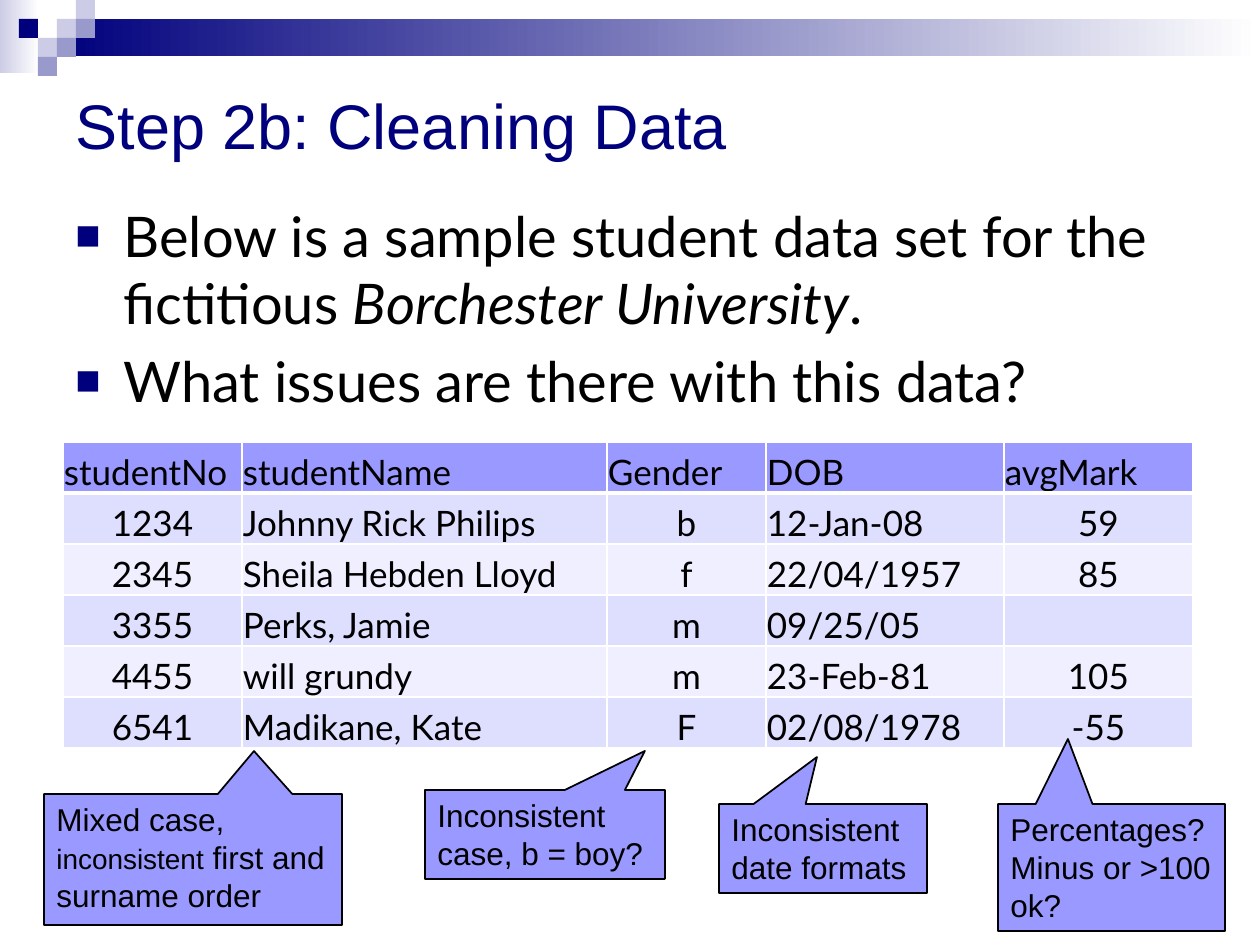
from lxml import etree
from pptx import Presentation
from pptx.dml.color import RGBColor
from pptx.enum.shapes import MSO_SHAPE
from pptx.enum.text import MSO_ANCHOR, MSO_AUTO_SIZE, PP_ALIGN
from pptx.oxml.ns import qn
from pptx.util import Emu, Pt

NAVY = RGBColor(0x00, 0x00, 0x7D)
LILAC = RGBColor(0xCC, 0xCC, 0xE6)
MAUVE = RGBColor(0x99, 0x99, 0xCC)
PERIWINKLE = RGBColor(0x99, 0x99, 0xFF)
BAND_DARK = RGBColor(0xDE, 0xDE, 0xFF)
BAND_LIGHT = RGBColor(0xEF, 0xEF, 0xFF)
BLACK = RGBColor(0, 0, 0)
WHITE = RGBColor(255, 255, 255)

COLUMNS = [179, 365, 159, 238, 189]
CENTRED = {0, 2, 4}
STUDENTS = [
    ["studentNo", "studentName", "Gender", "DOB", "avgMark"],
    ["1234", "Johnny Rick Philips", "b", "12-Jan-08", "59"],
    ["2345", "Sheila Hebden Lloyd", "f", "22/04/1957", "85"],
    ["3355", "Perks, Jamie", "m", "09/25/05", ""],
    ["4455", "will grundy", "m", "23-Feb-81", "105"],
    ["6541", "Madikane, Kate", "F", "02/08/1978", "-55"],
]
# box, tip of the pointer, runs of (text, size)
CALLOUTS = [
    ((44, 794, 298, 131), (254, 751),
     [("Mixed case, ", 18), ("inconsistent", 16), (" first and surname order", 18)]),
    ((425, 790, 240, 89), (645, 751), [("Inconsistent case, b = boy?", 18)]),
    ((719, 804, 208, 89), (817, 757), [("Inconsistent date formats", 18)]),
    ((998, 804, 227, 127), (1068, 739), [("Percentages? Minus or >100 ok?", 18)]),
]


def px(n):
    return Emu(round(n * 914400 / 126))


def place(box):
    return [px(n) for n in box]


def add_run(p, text, size, font, color=BLACK, italic=False):
    r = p.add_run()
    r.text = text
    r.font.size, r.font.name = Pt(size), font
    r.font.color.rgb = color
    r.font.italic = italic


def add_rect(slide, box, color, fade_to=None):
    sp = slide.shapes.add_shape(MSO_SHAPE.RECTANGLE, *place(box))
    sp.shadow.inherit = False
    sp.line.fill.background()
    if fade_to is None:
        sp.fill.solid()
        sp.fill.fore_color.rgb = color
        return
    sp.fill.gradient()
    sp.fill.gradient_angle = 0
    for stop, position, rgb in zip(sp.fill.gradient_stops, (0, 1), (color, fade_to)):
        stop.position = position
        stop.color.rgb = rgb


def add_banner(slide, x, y, w):
    side = 19
    add_rect(slide, (x, y, 39, 73), LILAC, WHITE)
    add_rect(slide, (x + 3 * side, y + side, w - 3 * side, 2 * side - 1), NAVY, WHITE)
    squares = [(3, 1, LILAC), (4, 0, LILAC), (4, 1, MAUVE), (2, 2, LILAC),
               (1, 1, NAVY), (3, 2, MAUVE), (2, 3, MAUVE)]
    for col, row, color in squares:
        add_rect(slide, (x + col * side, y + row * side, side, side), color)


def format_title(slide, box, text):
    title = slide.shapes.title
    title.left, title.top, title.width, title.height = place(box)
    tf = title.text_frame
    tf.auto_size = MSO_AUTO_SIZE.NONE
    tf.vertical_anchor = MSO_ANCHOR.MIDDLE
    p = tf.paragraphs[0]
    p.alignment = PP_ALIGN.LEFT
    add_run(p, text, 36, "Arial", NAVY)


def set_bullet(p):
    pPr = p._p.get_or_add_pPr()
    pPr.set("marL", str(px(48)))
    pPr.set("indent", str(-px(48)))
    color = etree.SubElement(pPr, qn("a:buClr"))
    etree.SubElement(color, qn("a:srgbClr"), val=str(NAVY))
    etree.SubElement(pPr, qn("a:buSzPct"), val="75000")
    etree.SubElement(pPr, qn("a:buFont"), typeface="Arial")
    etree.SubElement(pPr, qn("a:buChar"), char="■")


def add_bullets(slide, box, items):
    tf = slide.shapes.add_textbox(*place(box)).text_frame
    tf.word_wrap = True
    for i, runs in enumerate(items):
        p = tf.add_paragraph() if i else tf.paragraphs[0]
        set_bullet(p)
        if i:
            p.space_before = Pt(6.4)
        for text, italic in runs:
            add_run(p, text, 32, "Lato", italic=italic)


def set_borders(cell, **widths):
    """Draw white borders, given in points by side: L, R, T, B."""
    tcPr = cell._tc.get_or_add_tcPr()
    for side in "LRTB":
        ln = etree.SubElement(tcPr, qn(f"a:ln{side}"), w=str(Pt(widths.get(side, 1))))
        fill = etree.SubElement(ln, qn("a:solidFill"))
        etree.SubElement(fill, qn("a:srgbClr"), val=str(WHITE))


def add_student_table(slide, x, y, row_height):
    box = (x, y, sum(COLUMNS), row_height * len(STUDENTS))
    table = slide.shapes.add_table(len(STUDENTS), len(COLUMNS), *place(box)).table
    for column, width in zip(table.columns, COLUMNS):
        column.width = px(width)
    for i, values in enumerate(STUDENTS):
        table.rows[i].height = px(row_height)
        for j, text in enumerate(values):
            cell = table.cell(i, j)
            set_borders(cell, T=3 if i == 1 else 1, B=3 if i == 0 else 1)
            cell.fill.solid()
            cell.fill.fore_color.rgb = (
                PERIWINKLE if i == 0 else BAND_DARK if i % 2 else BAND_LIGHT)
            cell.margin_left = cell.margin_right = cell.margin_top = px(1)
            cell.margin_bottom = 0
            cell.vertical_anchor = MSO_ANCHOR.BOTTOM
            p = cell.text_frame.paragraphs[0]
            p.alignment = PP_ALIGN.CENTER if i and j in CENTRED else PP_ALIGN.LEFT
            if text:
                add_run(p, text, 20, "Lato")
                p.runs[0].font.bold = False


def add_callout(slide, box, tip, runs):
    x, y, w, h = box
    sp = slide.shapes.add_shape(MSO_SHAPE.RECTANGULAR_CALLOUT, *place(box))
    sp.adjustments[0] = (tip[0] - x) / w - 0.5
    sp.adjustments[1] = (tip[1] - y) / h - 0.5
    sp.shadow.inherit = False
    sp.fill.solid()
    sp.fill.fore_color.rgb = PERIWINKLE
    sp.line.color.rgb = BLACK
    sp.line.width = Pt(1)
    tf = sp.text_frame
    tf.word_wrap = True
    tf.vertical_anchor = MSO_ANCHOR.TOP
    p = tf.paragraphs[0]
    p.alignment = PP_ALIGN.LEFT
    for text, size in runs:
        add_run(p, text, size, "Arial")


def main():
    prs = Presentation()
    prs.slide_width, prs.slide_height = px(1260), px(945)
    slide = prs.slides.add_slide(prs.slide_layouts[5])
    add_banner(slide, 0, 0, 1260)
    format_title(slide, (63, 63, 1134, 122), "Step 2b: Cleaning Data")
    add_bullets(slide, (63, 195, 1134, 665), [
        [("Below is a sample student data set for the fictitious ", False),
         ("Borchester University", True), (".", False)],
        [("What issues are there with this data?", False)],
    ])
    add_student_table(slide, 63, 442, 51)
    for box, tip, runs in CALLOUTS:
        add_callout(slide, box, tip, runs)
    prs.save("out.pptx")


if __name__ == "__main__":
    main()
